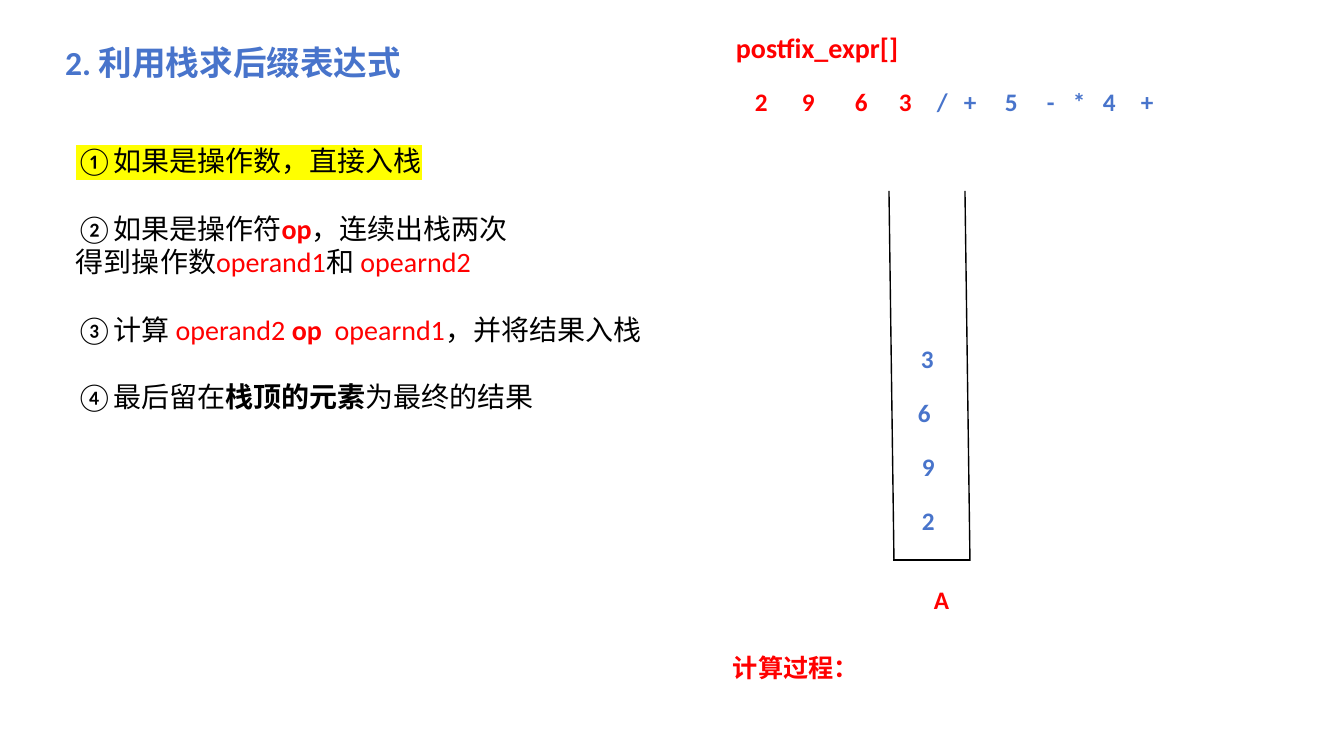
from lxml import etree
from pptx import Presentation
from pptx.dml.color import RGBColor
from pptx.enum.shapes import MSO_CONNECTOR
from pptx.enum.text import MSO_ANCHOR, MSO_AUTO_SIZE, PP_ALIGN
from pptx.oxml.ns import qn
from pptx.util import Pt

BLUE = RGBColor(0x48, 0x74, 0xCB)
RED = RGBColor(0xFF, 0x00, 0x00)
BLACK = RGBColor(0x00, 0x00, 0x00)
YELLOW = RGBColor(0xFF, 0xFF, 0x00)
FONT = "Calibri"
STRAIGHT = MSO_CONNECTOR.STRAIGHT
TOP = MSO_ANCHOR.TOP
LEFT = PP_ALIGN.LEFT
NO_AUTOFIT = MSO_AUTO_SIZE.NONE
EMU_PER_PX = 914400 / 100.8

TITLE = "2. 利用栈求后缀表达式"
TITLE_BOX = (55, 37, 395, 54)

# Each step holds its lines; each line holds runs of (text, colour, bold, highlight).
STEPS = [
    [[("①如果是操作数，直接入栈", BLACK, False, YELLOW)]],
    [
        [("②如果是操作符", BLACK, False, None), ("op", RED, True, None),
         ("，连续出栈两次", BLACK, False, None)],
        [("得到操作数", BLACK, False, None), ("operand1", RED, False, None),
         ("和 ", BLACK, False, None), ("opearnd2", RED, False, None)],
    ],
    [[("③计算 ", BLACK, False, None), ("operand2 ", RED, False, None),
      ("op  ", RED, True, None), ("opearnd1", RED, False, None),
      ("，并将结果入栈", BLACK, False, None)]],
    [[("④最后留在", BLACK, False, None), ("栈顶的元素", BLACK, True, None),
      ("为最终的结果", BLACK, False, None)]],
]
STEPS_BOX = (66, 139, 672, 281)
STEP_GAP = Pt(24)

# Labels: text, size, (left, top, width, height)
LABELS = [
    ("postfix_expr[]", 20, (726, 26, 186, 46)),
    ("A", 18, (924, 579, 22, 40)),
    ("计算过程：", 18, (723, 647, 247, 53)),
]

# Expression tokens: text, left, already pushed
TOKENS = [
    ("2", 745, True), ("9", 792, True), ("6", 845, True), ("3", 889, True),
    ("/", 927, False), ("+", 954, False), ("5", 995, False), ("-", 1037, False),
    ("*", 1063, False), ("4", 1093, False), ("+", 1131, False),
]
TOKEN_TOP = 81
CELL_WIDTH, CELL_HEIGHT = 42, 43

# Stack contents from the top down: text, left
STACK = [("3", 911), ("6", 908), ("9", 912), ("2", 912)]
STACK_TOP, STACK_STEP = 338, 54
STACK_WALLS = [
    (889, 191, 894, 561),
    (965, 191, 970, 561),
    (893, 560, 970, 560),
]


def px(*lengths):
    return [round(length * EMU_PER_PX) for length in lengths]


def add_run(paragraph, text, size, color, bold, highlight=None):
    run = paragraph.add_run()
    run.text = text
    font = run.font
    font.size = Pt(size)
    font.bold = bold
    font.color.rgb = color
    properties = font._element
    if highlight is not None:
        marker = etree.SubElement(properties, qn("a:highlight"))
        etree.SubElement(marker, qn("a:srgbClr"), val=str(highlight))
    font.name = FONT
    etree.SubElement(properties, qn("a:ea"), typeface=FONT)


def add_text_frame(slide, box):
    frame = slide.shapes.add_textbox(*px(*box)).text_frame
    frame.word_wrap = True
    return frame


def add_label(slide, text, size, color, box):
    frame = add_text_frame(slide, box)
    add_run(frame.paragraphs[0], text, size, color, True)


def add_title(slide):
    title = slide.shapes.title
    title.left, title.top, title.width, title.height = px(*TITLE_BOX)
    frame = title.text_frame
    frame.auto_size = NO_AUTOFIT
    frame.vertical_anchor = TOP
    paragraph = frame.paragraphs[0]
    paragraph.alignment = LEFT
    add_run(paragraph, TITLE, 24, BLUE, True)


def add_steps(slide):
    frame = add_text_frame(slide, STEPS_BOX)
    for step_index, step in enumerate(STEPS):
        for line_index, line in enumerate(step):
            first = step_index == 0 and line_index == 0
            paragraph = frame.paragraphs[0] if first else frame.add_paragraph()
            if step_index > 0 and line_index == 0:
                paragraph.space_before = STEP_GAP
            for text, color, bold, highlight in line:
                add_run(paragraph, text, 20, color, bold, highlight)


def add_stack(slide):
    for ends in STACK_WALLS:
        wall = slide.shapes.add_connector(STRAIGHT, *px(*ends))
        wall.line.color.rgb = BLACK
        wall.line.width = Pt(1)
        etree.SubElement(wall._element.spPr, qn("a:effectLst"))
    for index, (text, left) in enumerate(STACK):
        top = STACK_TOP + index * STACK_STEP
        add_label(slide, text, 18, BLUE, (left, top, CELL_WIDTH, CELL_HEIGHT))


def main():
    presentation = Presentation()
    presentation.slide_width, presentation.slide_height = px(1344, 756)
    slide = presentation.slides.add_slide(presentation.slide_layouts[5])
    add_title(slide)
    add_steps(slide)
    for text, size, box in LABELS:
        add_label(slide, text, size, RED, box)
    for text, left, pushed in TOKENS:
        box = (left, TOKEN_TOP, CELL_WIDTH, CELL_HEIGHT)
        add_label(slide, text, 18, RED if pushed else BLUE, box)
    add_stack(slide)
    presentation.save("out.pptx")


if __name__ == "__main__":
    main()
